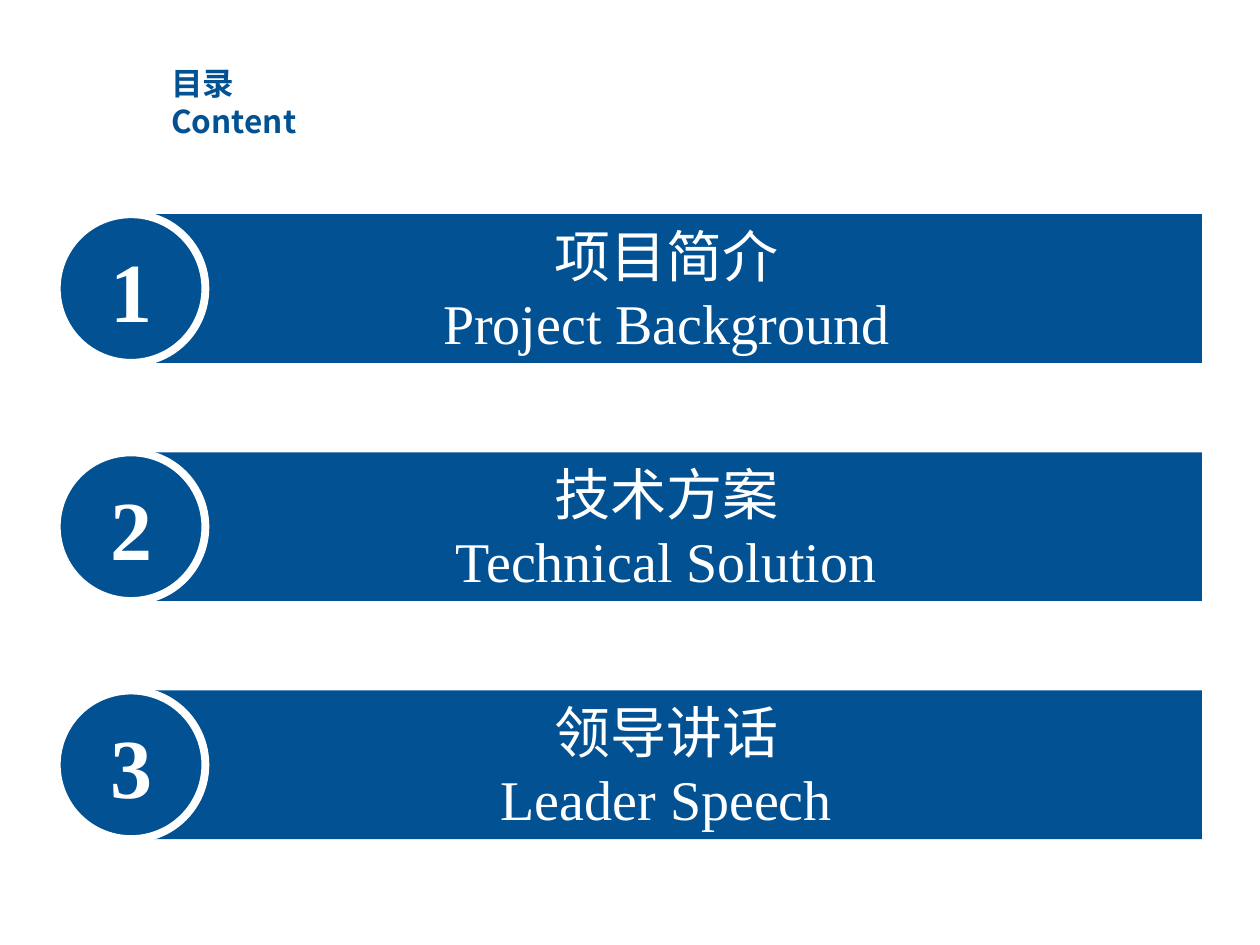
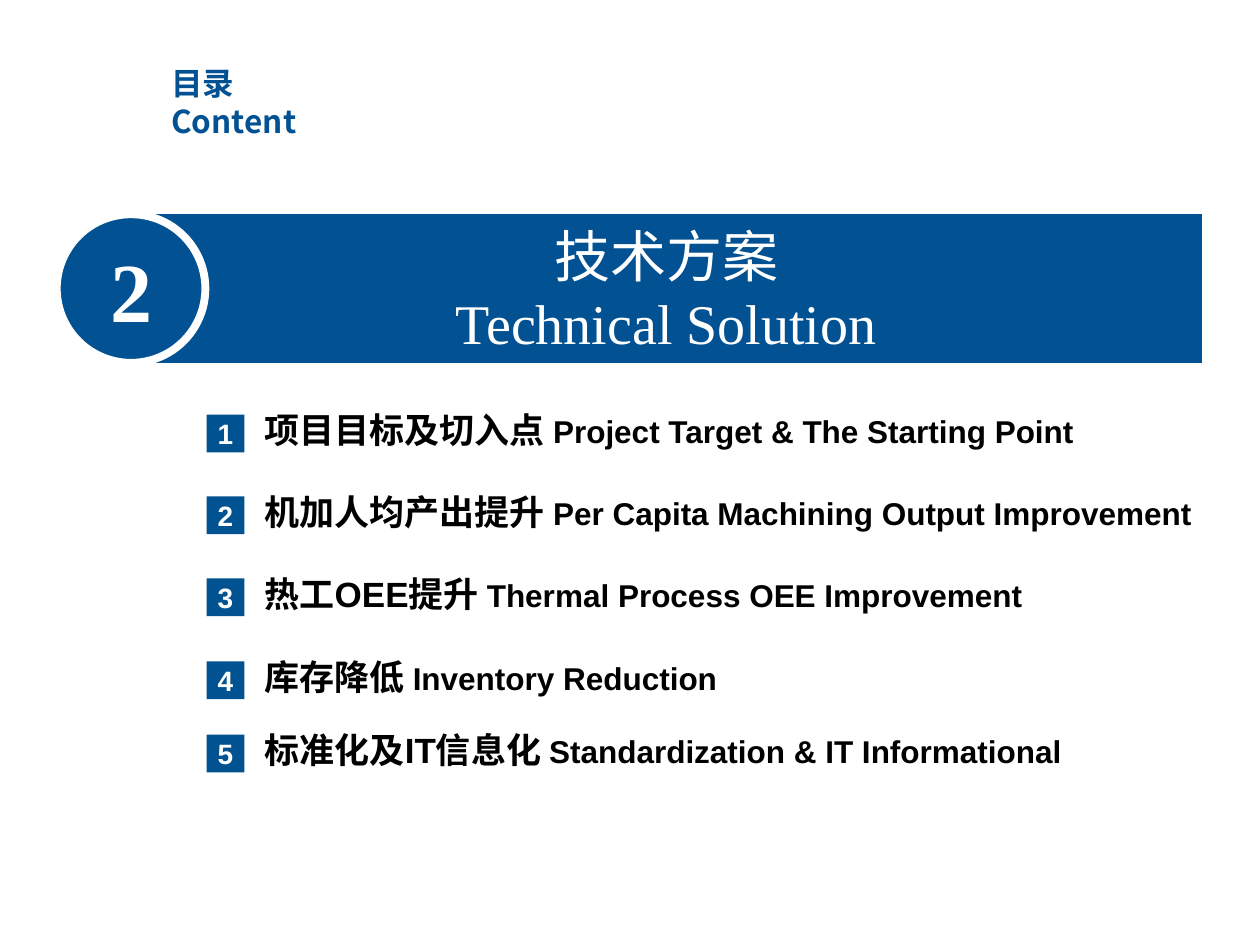
from lxml import etree
from pptx import Presentation
from pptx.dml.color import RGBColor
from pptx.enum.shapes import MSO_SHAPE
from pptx.enum.text import MSO_ANCHOR, MSO_AUTO_SIZE, PP_ALIGN
from pptx.oxml.ns import qn
from pptx.util import Inches, Pt

RECTANGLE, OVAL = MSO_SHAPE.RECTANGLE, MSO_SHAPE.OVAL
TOP, MIDDLE = MSO_ANCHOR.TOP, MSO_ANCHOR.MIDDLE
LEFT, CENTER = PP_ALIGN.LEFT, PP_ALIGN.CENTER
NO_AUTO_SIZE = MSO_AUTO_SIZE.NONE

COLORS = {"band": "015193", "badge": "005291", "light": "FFFFFF", "text": "000000"}
CHINESE, SERIF, SANS = "Noto Sans CJK SC", "Times New Roman", "Arial"
TITLE_LAYOUT = 5
BAND_LEFT, BAND_TOP, BAND_WIDTH, BAND_HEIGHT, BAND_STEP = 0.45, 1.7, 9.09, 1.18, 1.89
BADGE_SIZE = 0.3

CHAPTERS = [
    ("项目简介", "Project Background"),
    ("技术方案", "Technical Solution"),
    ("领导讲话", "Leader Speech"),
]
TOPICS = [
    (3.29, "项目目标及切入点", "Project Target & The Starting Point"),
    (3.94, "机加人均产出提升", "Per Capita Machining Output Improvement"),
    (4.59, "热工OEE提升", "Thermal Process OEE Improvement"),
    (5.25, "库存降低", "Inventory Reduction"),
    (5.83, "标准化及IT信息化", "Standardization & IT Informational"),
]


def color(name):
    """Return the named colour."""
    return RGBColor.from_string(COLORS[name])


def style(para, font, size, color_name, bold=False, align=LEFT):
    """Format a whole paragraph, with the Chinese face beside the Latin one."""
    para.alignment = align
    para.font.size = Pt(size)
    para.font.bold = bold
    para.font.color.rgb = color(color_name)
    para.font.name = font
    defaults = para._p.pPr.find(qn("a:defRPr"))
    etree.SubElement(defaults, qn("a:ea")).set("typeface", CHINESE)


def set_margins(frame, horizontal, vertical):
    """Set the insets of a text frame in inches."""
    frame.margin_left = frame.margin_right = Inches(horizontal)
    frame.margin_top = frame.margin_bottom = Inches(vertical)


def add_filled(shapes, kind, left, top, width, height, fill):
    """Add a plain shape with centred text and no outline."""
    shape = shapes.add_shape(kind, Inches(left), Inches(top), Inches(width), Inches(height))
    shape.shadow.inherit = False
    shape.fill.solid()
    shape.fill.fore_color.rgb = color(fill)
    shape.line.fill.background()
    shape.text_frame.word_wrap = False
    shape.text_frame.vertical_anchor = MIDDLE
    return shape


def add_page(deck):
    """Add a page with the bilingual contents title."""
    page = deck.slides.add_slide(deck.slide_layouts[TITLE_LAYOUT])
    title = page.shapes.title
    title.left, title.top = Inches(1.26), Inches(0.46)
    title.width, title.height = Inches(1.8), Inches(0.7)
    frame = title.text_frame
    frame.auto_size = NO_AUTO_SIZE
    frame.vertical_anchor = TOP
    set_margins(frame, 0.1, 0.05)
    para = frame.paragraphs[0]
    para.add_run().text = "目录"
    para.add_line_break()
    para.add_run().text = "Content"
    para.line_spacing = Pt(21.6)
    style(para, CHINESE, 18, "band", bold=True)
    return page


def add_chapter_band(page, number, left, top, width, height):
    """Draw a chapter band with its number in a circle at the left end."""
    shapes = page.shapes.add_group_shape().shapes
    radius = height / 2
    band = add_filled(shapes, RECTANGLE, left + radius, top, width - radius, height, "band")
    set_margins(band.text_frame, 0, 0)
    chinese, english = CHAPTERS[number - 1]
    band.text_frame.text = chinese
    style(band.text_frame.paragraphs[0], CHINESE, 32, "light", align=CENTER)
    para = band.text_frame.add_paragraph()
    para.text = english
    style(para, SERIF, 32, "light", align=CENTER)

    circle = add_filled(shapes, OVAL, left, top, height, height, "band")
    circle.line.color.rgb = color("light")
    circle.line.width = Pt(4.5)
    set_margins(circle.text_frame, 0, 0)
    circle.text_frame.text = str(number)
    style(circle.text_frame.paragraphs[0], SERIF, 48, "light", True, CENTER)


def add_topic(shapes, number, chinese, english, left, top):
    """Draw one numbered topic of a chapter."""
    badge = add_filled(shapes, RECTANGLE, left, top, BADGE_SIZE, BADGE_SIZE, "badge")
    badge.text_frame.text = str(number)
    style(badge.text_frame.paragraphs[0], SANS, 16, "light", True, CENTER)

    box = shapes.add_textbox(Inches(left + 0.46), Inches(top - 0.06), Inches(7.66), Inches(0.41))
    frame = box.text_frame
    frame.word_wrap = True
    set_margins(frame, 0, 0.05)
    para = frame.paragraphs[0]
    para.line_spacing = 0.9
    for text, size in ((chinese + " ", 20), (english, 18)):
        span = para.add_run()
        span.text = text
        span.font.size = Pt(size)
    style(para, SANS, 20, "text", bold=True)


def build_contents(deck):
    """Build the page that lists all chapters."""
    page = add_page(deck)
    for index in range(len(CHAPTERS)):
        top = BAND_TOP + index * BAND_STEP
        add_chapter_band(page, index + 1, BAND_LEFT, top, BAND_WIDTH, BAND_HEIGHT)


def build_chapter(deck, number, topics):
    """Build the page of one chapter with its topics."""
    page = add_page(deck)
    add_chapter_band(page, number, BAND_LEFT, BAND_TOP, BAND_WIDTH, BAND_HEIGHT)
    shapes = page.shapes.add_group_shape().shapes
    for index, (top, chinese, english) in enumerate(topics, start=1):
        add_topic(shapes, index, chinese, english, 1.64, top)


def main():
    """Build and save the deck."""
    deck = Presentation()
    deck.slide_width, deck.slide_height = Inches(10), Inches(7.5)
    build_contents(deck)
    build_chapter(deck, 2, TOPICS)
    deck.save("out.pptx")


if __name__ == "__main__":
    main()
